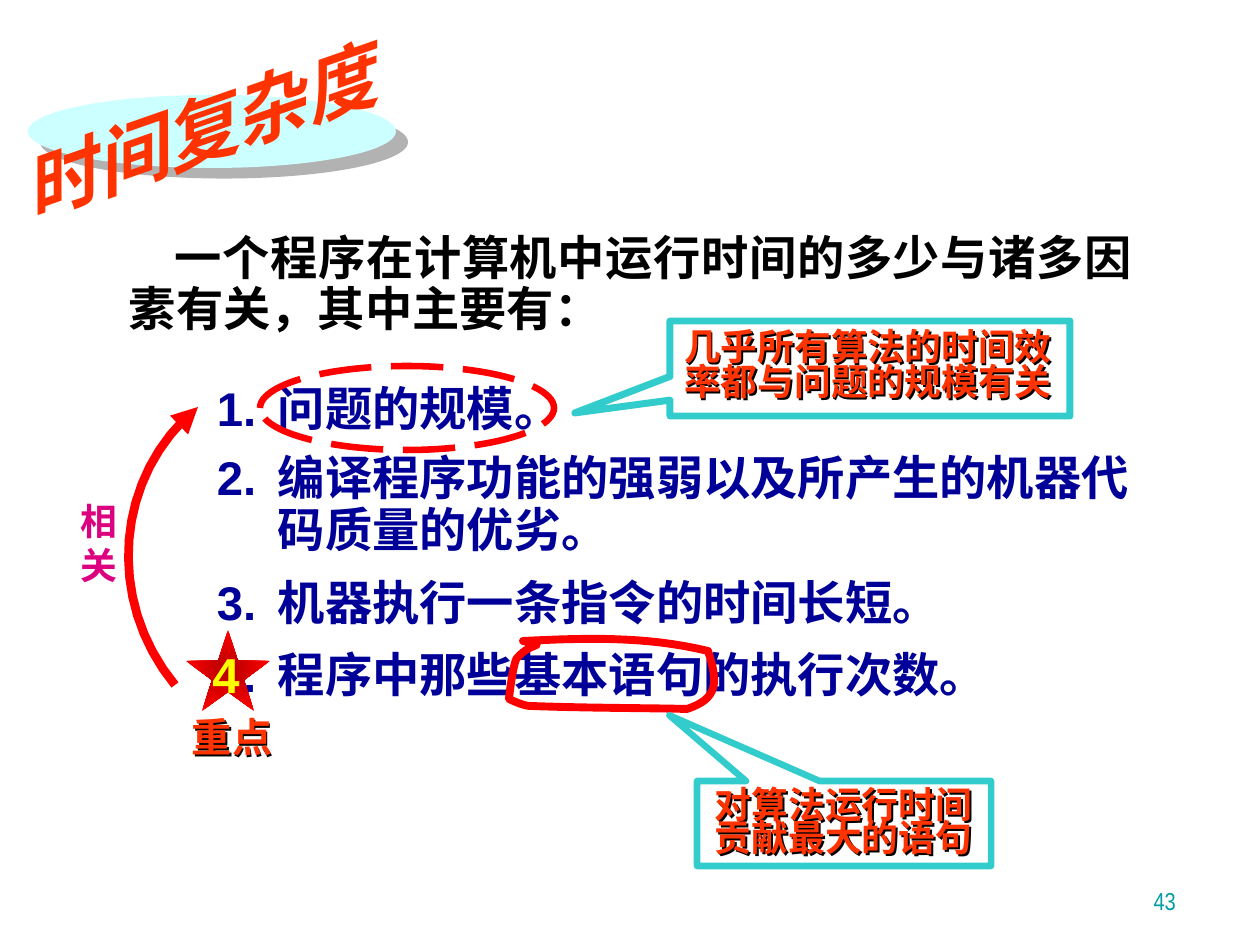
"""Build the slide on the factors behind the running time of a program."""
from pptx import Presentation
from pptx.dml.color import RGBColor
from pptx.enum.dml import MSO_LINE
from pptx.enum.shapes import MSO_SHAPE
from pptx.enum.text import MSO_ANCHOR, MSO_AUTO_SIZE, PP_ALIGN
from pptx.oxml import parse_xml
from pptx.oxml.ns import nsdecls
from pptx.util import Emu, Pt

PX = 914400 / 126
CJK, ARIAL, NARROW = "Noto Sans CJK SC", "Arial", "Arial Narrow"

THEME = {
    "title": {"name": CJK, "size": 42, "color": "FF3300", "bold": True, "italic": True},
    "intro": {"name": CJK, "size": 27, "color": "000000", "bold": True},
    "number": {"name": ARIAL, "size": 27, "color": "000099", "bold": True},
    "list": {"name": CJK, "size": 27, "color": "000099", "bold": True},
    "callout": {"name": CJK, "size": 21, "color": "FF3300", "bold": True},
    "key": {"name": CJK, "size": 23, "color": "FF3300", "bold": True},
    "star": {"name": ARIAL, "size": 28, "color": "FFFF00", "bold": True},
    "relation": {"name": CJK, "size": 21, "color": "DC0081", "bold": True},
    "page": {"name": NARROW, "size": 14, "color": "009EA1", "bold": False},
    "oval": "CCFFFF", "oval_shadow": "B2B2B2", "mark": "FF0000",
    "callout_line": "33CCCC", "text_shadow": "000000",
    "star_inner": "B60000", "star_outer": "FF0000",
}
SHADOWED = ("callout", "key")

TITLE = "时间复杂度"
INTRO = "一个程序在计算机中运行时间的多少与诸多因素有关，其中主要有："
FACTORS = [
    ("1.", "问题的规模。", 0),
    ("2.", "编译程序功能的强弱以及所产生的机器代码质量的优劣。", 9.5),
    ("3.", "机器执行一条指令的时间长短。", 11.5),
    ("4.", "程序中那些基本语句的执行次数。", 11.5),
]
CALLOUTS = [
    {"lines": ["几乎所有算法的时间效", "率都与问题的规模有关"], "frame": (670, 321, 400, 95),
     "tip": (-0.738, 0.468), "text_frame": (671, 326, 436, 83), "spacing": 0.8, "weight": 4},
    {"lines": ["对算法运行时间", "贡献最大的语句"], "frame": (697, 781, 294, 85),
     "tip": (-0.594, -1.273), "text_frame": (702, 786, 329, 79), "spacing": 0.75,
     "weight": 3.75},
]
RING = [(523, 641), (586, 638), (646, 636), (708, 651), (719, 684), (717, 699), (687, 709),
        (645, 708), (582, 708), (530, 706), (523, 706), (509, 699), (509, 699),
        (509, 698), (513, 663), (517, 658), (533, 640), (549, 648), (523, 641)]
ARC = [(175, 685), (105, 600), (115, 475), (198, 407)]


def px(value):
    return Emu(round(value * PX))


def rgb(value):
    return RGBColor.from_string(value)


def element(markup):
    tag, rest = markup[1:].split(" ", 1)
    return parse_xml(f"<{tag} {nsdecls('a')} {rest}")


def shadow(color, distance, direction):
    return element(f'<a:effectLst ><a:outerShdw dist="{Pt(distance)}" dir="{direction * 60000}" '
                   f'algn="ctr" rotWithShape="0"><a:srgbClr val="{color}"/></a:outerShdw></a:effectLst>')


def add_span(para, text, role):
    span = para.add_run()
    span.text = text
    style = THEME[role]
    values = {**style, "size": Pt(style["size"])}
    span.font.color.rgb = rgb(values.pop("color"))
    for name, value in values.items():
        setattr(span.font, name, value)
    if style["name"] == CJK:
        span.font._element.append(element(f'<a:ea typeface="{CJK}"/>'))


def write(shape, lines, inset=(13, 6, 13, 6), wrap=True, anchor=MSO_ANCHOR.TOP, **para_format):
    frame = shape.text_frame
    frame_format = {"word_wrap": wrap, "auto_size": MSO_AUTO_SIZE.NONE, "vertical_anchor": anchor}
    sides = ("margin_left", "margin_top", "margin_right", "margin_bottom")
    frame_format.update(zip(sides, map(px, inset)))
    for name, value in frame_format.items():
        setattr(frame, name, value)
    para_format = {"alignment": PP_ALIGN.LEFT, "space_before": Pt(0), **para_format}
    for index, spans in enumerate(lines):
        para = frame.paragraphs[0] if index == 0 else frame.add_paragraph()
        for name, value in para_format.items():
            setattr(para, name, value)
        for text, role in spans:
            add_span(para, text, role)
    return frame.paragraphs


def place(shape, frame):
    for name, value in zip(("left", "top", "width", "height"), frame):
        setattr(shape, name, px(value))


def add_text(page, frame, lines, role, **options):
    box = page.shapes.add_textbox(*map(px, frame))
    if role in SHADOWED:
        box.element.spPr.append(shadow(THEME["text_shadow"], 1.5, 45))
    return write(box, [[(line, role)] for line in lines], **options)


def style_outline(shape, color, weight):
    shape.shadow.inherit = False
    shape.fill.background()
    shape.line.color.rgb = rgb(color)
    shape.line.width = Pt(weight)
    return shape


def add_outline(page, kind, frame, color, weight):
    return style_outline(page.shapes.add_shape(kind, *map(px, frame)), color, weight)


def curve_points(points, steps=16):
    for start in range(0, len(points) - 1, 3):
        a, b, c, d = points[start:start + 4]
        for step in range(1, steps + 1):
            t = step / steps
            u = 1 - t
            yield tuple(px(u**3 * a[i] + 3 * u * u * t * b[i] + 3 * u * t * t * c[i] + t**3 * d[i])
                        for i in (0, 1))


def add_curve(page, points, weight, close):
    builder = page.shapes.build_freeform(*map(px, points[0]))
    builder.add_line_segments(list(curve_points(points)), close=close)
    return style_outline(builder.convert_to_shape(), THEME["mark"], weight)


def add_title(page):
    oval = page.shapes.add_shape(MSO_SHAPE.OVAL, *map(px, (28, 95, 368, 73)))
    oval.fill.solid()
    oval.fill.fore_color.rgb = rgb(THEME["oval"])
    oval.line.fill.background()
    oval.element.spPr.append(shadow(THEME["oval_shadow"], 9.2, 41))
    title = page.shapes.title
    place(title, (0, 76, 517, 84))
    title.rotation = 340.8
    write(title, [[(TITLE, "title")]], anchor=MSO_ANCHOR.BOTTOM)
    oval.element.addnext(title.element)


def add_factors(page):
    body = page.placeholders[1]
    place(body, (217, 383, 933, 310))
    lines = [[(f"{number}\t", "number"), (text, "list")] for number, text, _ in FACTORS]
    paras = write(body, lines, inset=(0, 0, 0, 0), line_spacing=Pt(30))
    for para, (_, _, gap) in zip(paras, FACTORS):
        para.space_before = Pt(gap)
        properties = para._p.get_or_add_pPr()
        properties.set("marL", str(px(61)))
        properties.set("indent", str(px(-61)))
        properties.append(element('<a:buNone />'))


def add_star(page):
    star = page.shapes.add_shape(MSO_SHAPE.STAR_5_POINT, *map(px, (186, 630, 84, 81)))
    star.shadow.inherit = False
    star.line.fill.background()
    star.element.spPr.find("{*}prstGeom").addnext(element(
        f'<a:gradFill ><a:gsLst><a:gs pos="0"><a:srgbClr val="{THEME["star_inner"]}"/></a:gs>'
        f'<a:gs pos="100000"><a:srgbClr val="{THEME["star_outer"]}"/></a:gs></a:gsLst>'
        '<a:path path="shape"><a:fillToRect l="50000" t="50000" r="50000" b="50000"/></a:path>'
        '</a:gradFill>'))
    write(star, [[("4", "star")]], inset=(0, 0, 4, 4), wrap=False, anchor=MSO_ANCHOR.MIDDLE,
          alignment=PP_ALIGN.CENTER)
    add_text(page, (179, 706, 164, 60), ["重点"], "key")


def add_callout(page, lines, frame, tip, text_frame, spacing, weight):
    callout = add_outline(page, MSO_SHAPE.RECTANGULAR_CALLOUT, frame, THEME["callout_line"], weight)
    for index, value in enumerate(tip):
        callout.adjustments[index] = value
    add_text(page, text_frame, lines, "callout", line_spacing=spacing)


def main():
    deck = Presentation()
    deck.slide_width, deck.slide_height = px(1260), px(945)
    page = deck.slides.add_slide(deck.slide_layouts[1])
    add_factors(page)
    intro = add_text(page, (116, 229, 1029, 115), [INTRO], "intro",
                     alignment=PP_ALIGN.JUSTIFY, line_spacing=0.9)
    intro[0]._p.get_or_add_pPr().set("indent", str(px(46)))
    add_title(page)
    oval = add_outline(page, MSO_SHAPE.OVAL, (260, 366, 294, 84), THEME["mark"], 3.75)
    oval.line.dash_style = MSO_LINE.LONG_DASH
    add_star(page)
    add_curve(page, RING, 4.5, True)
    for callout in CALLOUTS:
        add_callout(page, **callout)
    arc = add_curve(page, ARC, 5, False)
    arc.line._get_or_add_ln().append(element('<a:tailEnd type="triangle"/>'))
    add_text(page, (68, 493, 62, 101), ["相", "关"], "relation", wrap=False)
    add_text(page, (927, 858, 262, 63), ["43"], "page", anchor=MSO_ANCHOR.BOTTOM,
             alignment=PP_ALIGN.RIGHT)
    deck.save("out.pptx")


if __name__ == "__main__":
    main()
